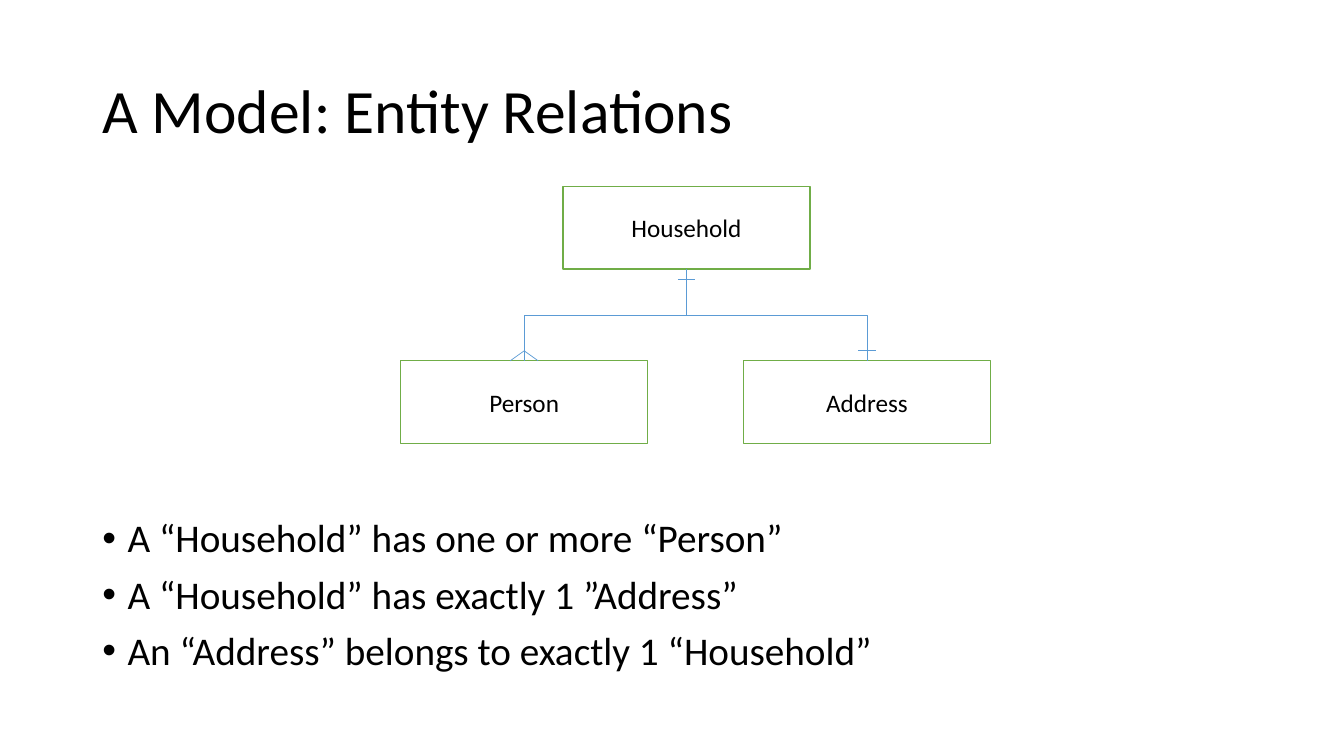
import pptx
import pptx.util
import pptx.dml.color
import pptx.enum.shapes
import pptx.enum.text
import pptx.oxml
import pptx.oxml.ns
from pptx.util import Cm, Pt

ANCHOR = pptx.enum.text.MSO_ANCHOR
ALIGN = pptx.enum.text.PP_ALIGN
CONNECTOR = pptx.enum.shapes.MSO_CONNECTOR


def color(hex_string):
    return pptx.dml.color.RGBColor.from_string(hex_string)


def write(holder, text, size=18, align=ALIGN.LEFT, anchor=ANCHOR.MIDDLE,
          line_spacing=1.0, space_before=0, bullet=None):
    frame = holder.text_frame
    frame.word_wrap = True
    frame.vertical_anchor = anchor
    for index, line in enumerate(text.split("\n")):
        paragraph = frame.paragraphs[0] if index == 0 else frame.add_paragraph()
        paragraph.alignment = align
        paragraph.line_spacing = line_spacing
        paragraph.space_before = Pt(space_before)
        run = paragraph.add_run()
        run.text = line
        run.font.name = "Calibri"
        run.font.size = Pt(size)
        run.font.color.rgb = color("000000")
        if bullet:
            properties = paragraph._p.get_or_add_pPr()
            properties.set("marL", str(Pt(18)))
            properties.set("indent", str(-Pt(18)))
            for tag, key, value in (("a:buFont", "typeface", "Arial"), ("a:buChar", "char", bullet)):
                mark = pptx.oxml.parse_xml(f'<{tag} {pptx.oxml.ns.nsdecls("a")} {key}="{value}"/>')
                properties.append(mark)


def connect(kind, x1, y1, x2, y2):
    link = slide.shapes.add_connector(kind, Cm(x1), Cm(y1), Cm(x2), Cm(y2))
    link.line.color.rgb = color("5B9BD5")
    link.line.width = Pt(0.5)
    link._element.spPr.append(pptx.oxml.parse_xml(f'<a:effectLst {pptx.oxml.ns.nsdecls("a")}/>'))
    return link


deck = pptx.Presentation()
deck.slide_width, deck.slide_height = Cm(33.87), Cm(19.05)
slide = deck.slides.add_slide(deck.slide_layouts[6])

title = slide.shapes.add_textbox(Cm(2.33), Cm(1.01), Cm(29.21), Cm(3.68))
write(title, "A Model: Entity Relations", size=44, line_spacing=0.9)

entity_width, entity_height = 6.23, 2.08
household_x, person_x, address_x = 17.42 - 0.12, 13.29 - 0.08, 21.93 - 0.08
household_y, child_y = 4.7, 9.09
household_bottom = household_y + entity_height

for name, center, top in (("Household", household_x, household_y),
                          ("Person", person_x, child_y),
                          ("Address", address_x, child_y)):
    entity = slide.shapes.add_shape(
        pptx.enum.shapes.MSO_SHAPE.RECTANGLE,
        Cm(center - entity_width / 2), Cm(top), Cm(entity_width), Cm(entity_height))
    entity.shadow.inherit = False
    entity.fill.solid()
    entity.fill.fore_color.rgb = color("FFFFFF")
    entity.line.color.rgb = color("70AD47")
    entity.line.width = Pt(1)
    write(entity, name, align=ALIGN.CENTER)

drop = child_y - household_bottom
middle_y = household_bottom + drop / 2
for child_x, side in ((person_x, -1), (address_x, 1)):
    middle_x = (household_x + child_x) / 2
    half_span = abs(child_x - household_x) / 2
    relation = connect(CONNECTOR.ELBOW,
                       middle_x + side * drop / 2, middle_y - half_span,
                       middle_x - side * drop / 2, middle_y + half_span)
    relation._element.spPr.xfrm.set("rot", str((180 + 90 * side) * 60000))

mark_offset = 0.25
for side in (-1, 1):
    connect(CONNECTOR.STRAIGHT, person_x + side * 0.35, child_y, person_x, child_y - mark_offset)
for center, y in ((household_x, household_bottom + mark_offset), (address_x, child_y - mark_offset)):
    connect(CONNECTOR.STRAIGHT, center - 0.22, y, center + 0.22, y)

rules = slide.shapes.add_textbox(Cm(2.33), Cm(12.95), Cm(29.21), Cm(4.19))
write(rules, "A “Household” has one or more “Person”\n"
             "A “Household” has exactly 1 ”Address”\n"
             "An “Address” belongs to exactly 1 “Household”",
      size=28, anchor=ANCHOR.TOP, line_spacing=0.9, space_before=10, bullet="•")

deck.save("out.pptx")
